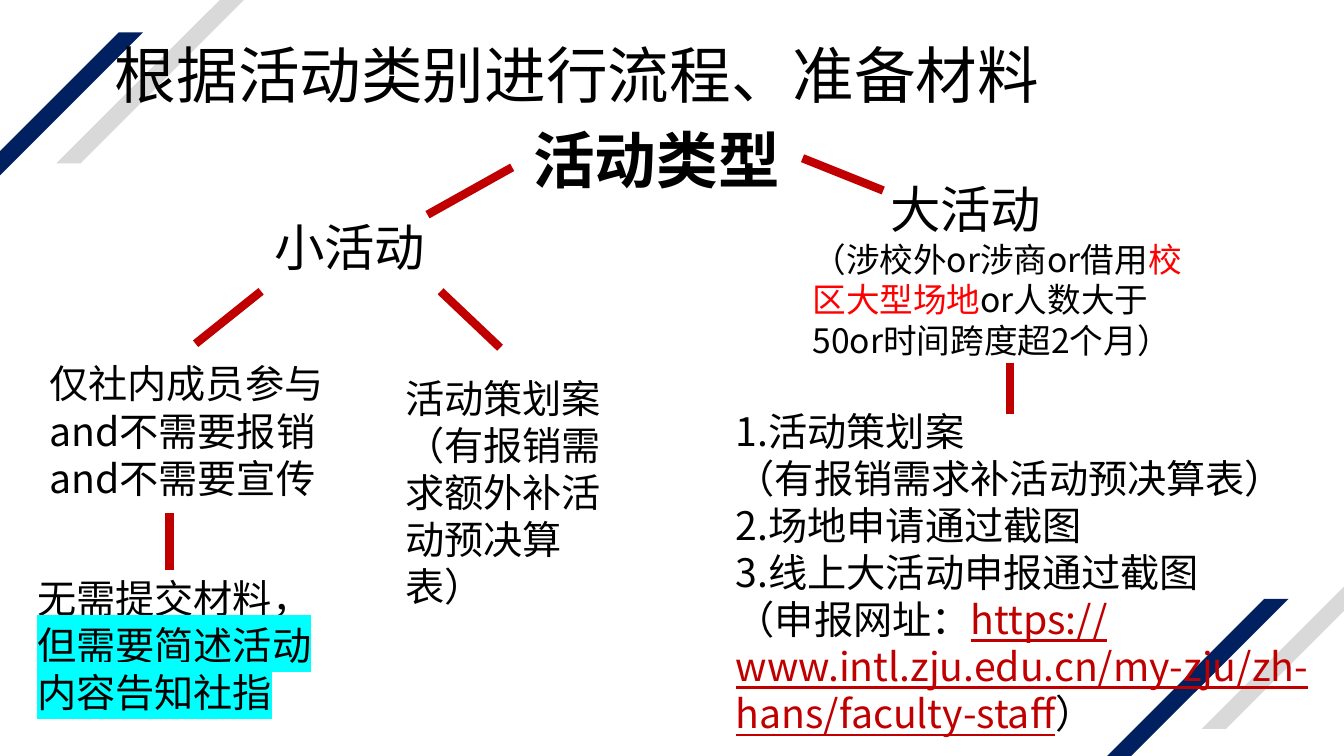
from lxml import etree
from pptx import Presentation
from pptx.dml.color import RGBColor
from pptx.enum.shapes import MSO_CONNECTOR, MSO_SHAPE
from pptx.enum.text import MSO_ANCHOR as ANCHOR, MSO_AUTO_SIZE as AUTO, PP_ALIGN
from pptx.oxml.ns import qn
from pptx.util import Inches, Pt

FONT = "Noto Sans CJK SC"
COLORS = {"navy": "002060", "gray": "D9D9D9", "black": "000000",
          "dark_red": "C00000", "red": "FF0000", "cyan": "00FFFF"}


def rgb(name):
    return RGBColor.from_string(COLORS[name])


def add_run(p, text, size, color="black", bold=False, underline=None, highlight=None):
    r = p.add_run()
    r.text = text
    f = r.font
    f.size, f.bold, f.underline = Pt(size), bold, underline
    f.color.rgb = rgb(color)
    f.name = FONT
    rPr = r._r.get_or_add_rPr()
    rPr.set("lang", "zh-CN")
    latin = rPr.find(qn("a:latin"))
    ea = etree.Element(qn("a:ea"), typeface=FONT)
    latin.addnext(ea)
    if highlight:
        mark = etree.Element(qn("a:highlight"))
        etree.SubElement(mark, qn("a:srgbClr"), val=COLORS[highlight])
        latin.addprevious(mark)


def fill_text(tf, paragraphs, size):
    """Each paragraph is a list of (text, options) runs."""
    tf.word_wrap = True
    for i, runs in enumerate(paragraphs):
        p = tf.paragraphs[0] if i == 0 else tf.add_paragraph()
        p.alignment = PP_ALIGN.LEFT
        for text, options in runs:
            add_run(p, text, **{"size": size, **options})


def add_text(s, x, y, w, h, paragraphs, size):
    tf = s.shapes.add_textbox(Inches(x), Inches(y), Inches(w), Inches(h)).text_frame
    fill_text(tf, paragraphs, size)
    tf.auto_size = AUTO.SHAPE_TO_FIT_TEXT
    return tf


def add_stripe(s, x, y, color):
    sp = s.shapes.add_shape(MSO_SHAPE.PARALLELOGRAM, Inches(x), Inches(y),
                            Inches(2.83), Inches(2.59))
    sp.adjustments[0] = 1
    sp.shadow.inherit = False
    sp.fill.solid()
    sp.fill.fore_color.rgb = rgb(color)
    sp.line.fill.background()


def add_branch(s, x1, y1, x2, y2):
    line = s.shapes.add_connector(MSO_CONNECTOR.STRAIGHT, Inches(x1), Inches(y1),
                                  Inches(x2), Inches(y2))
    line.line.color.rgb = rgb("dark_red")
    line.line.width = Pt(6)
    etree.SubElement(line._element.spPr, qn("a:effectLst"))


def add_title(s):
    title = s.shapes.title
    title.left, title.top = Inches(1.04), Inches(0.4)
    title.width, title.height = Inches(11.5), Inches(1.45)
    tf = title.text_frame
    fill_text(tf, [[("根据活动类别进行流程、准备材料", {})]], 44)
    tf.auto_size = AUTO.NONE
    tf.vertical_anchor = ANCHOR.TOP
    tf.paragraphs[0].line_spacing = 0.9
    # Keep the title above the stripes
    s.shapes._spTree.append(title._element)


def main():
    prs = Presentation()
    prs.slide_width, prs.slide_height = Inches(13.33), Inches(7.5)
    s = prs.slides.add_slide(prs.slide_layouts[5])

    # Corner stripes and title
    for x, y, color in [(-1.41, 0.32, "navy"), (0.56, -0.97, "gray"),
                        (9.95, 5.94, "navy"), (11.92, 4.64, "gray")]:
        add_stripe(s, x, y, color)
    add_title(s)

    # Root of the tree
    root = add_text(s, 5.19, 0.9, 2.96, 1.45, [[("活动类型", {"bold": True})]], 44)
    root.auto_size = AUTO.NONE
    root.vertical_anchor = ANCHOR.MIDDLE
    root.paragraphs[0].line_spacing = 0.9

    # Branches
    for ends in [(5.08, 1.66, 4.24, 2.13), (7.96, 1.57, 8.76, 1.89),
                 (2.59, 2.89, 1.94, 3.41), (4.37, 2.89, 4.96, 3.45),
                 (1.68, 5.09, 1.68, 5.65), (10.02, 3.6, 10.02, 4.11)]:
        add_branch(s, *ends)

    # Small activities
    add_text(s, 2.62, 2.09, 2.65, 0.71, [[("小活动", {})]], 36)
    add_text(s, 0.39, 3.52, 3.11, 1.51,
             [[("仅社内成员参与and不需要报销and不需要宣传", {})]], 28)
    add_text(s, 0.27, 5.65, 3.04, 1.51,
             [[("无需提交材料，", {}),
               ("但需要简述活动内容告知社指", {"highlight": "cyan"})]], 28)
    add_text(s, 3.92, 3.66, 2.33, 1.99,
             [[("活动策划案", {})], [("（有报销需求额外补活动预决算表）", {})]], 28)

    # Large activities
    large = add_text(s, 7.96, 1.72, 3.88, 1.92,
                     [[("大活动", {"size": 36})],
                      [("（涉校外or涉商or借用", {}),
                       ("校区大型场地", {"color": "red"}),
                       ("or人数大于50or时间跨度超2个月）", {})]], 24)
    large.paragraphs[0]._p.get_or_add_pPr().set("marL", str(Inches(0.77)))
    add_text(s, 7.2, 3.99, 6.03, 3.4,
             [[("1.活动策划案", {})],
              [("（有报销需求补活动预决算表）", {})],
              [("2.场地申请通过截图", {})],
              [("3.线上大活动申报通过截图", {})],
              [("（申报网址：", {}),
               ("https://www.intl.zju.edu.cn/my-zju/zh-hans/faculty-staff",
                {"color": "dark_red", "underline": True}),
               ("）", {})]], 28)

    prs.save("out.pptx")


if __name__ == "__main__":
    main()
